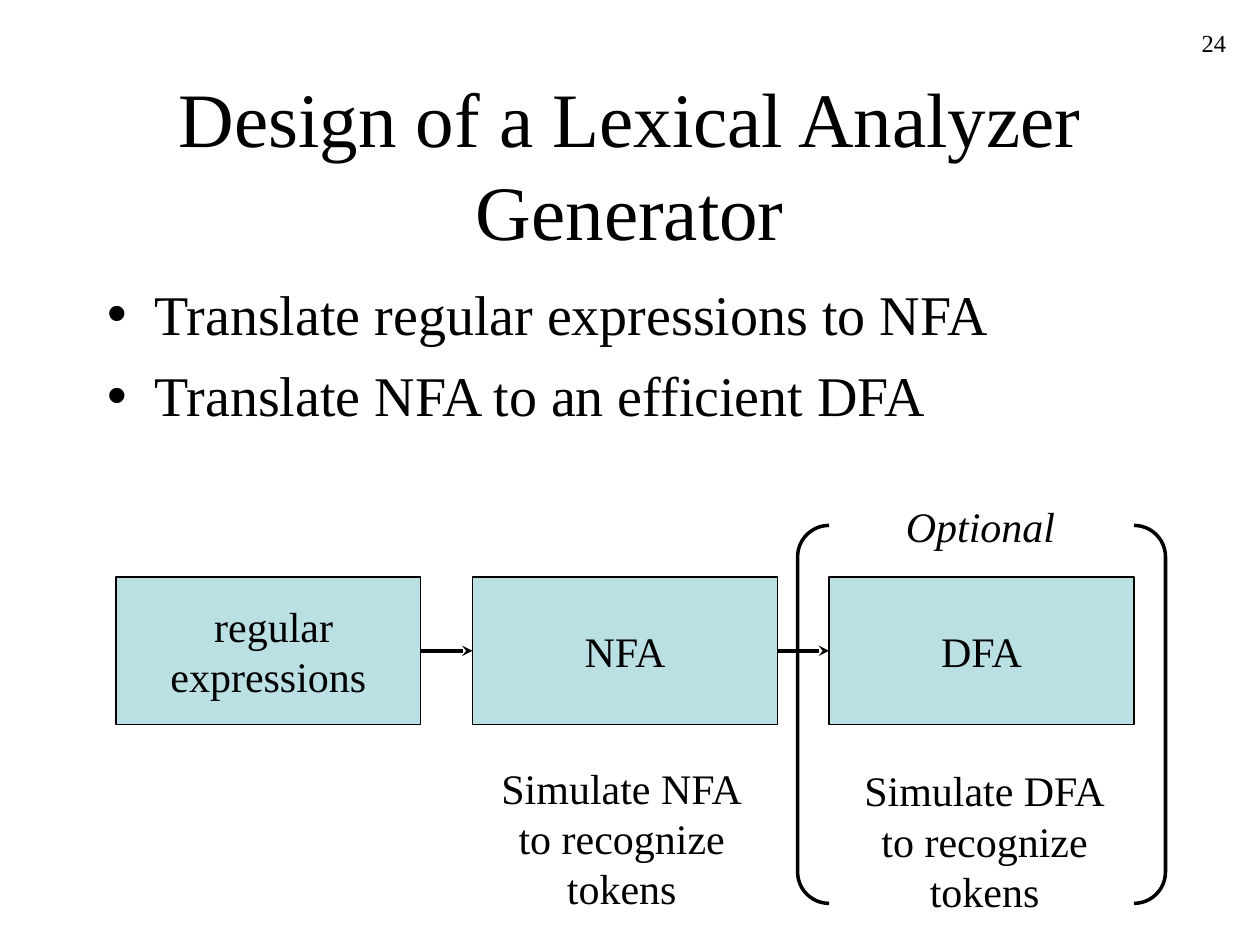
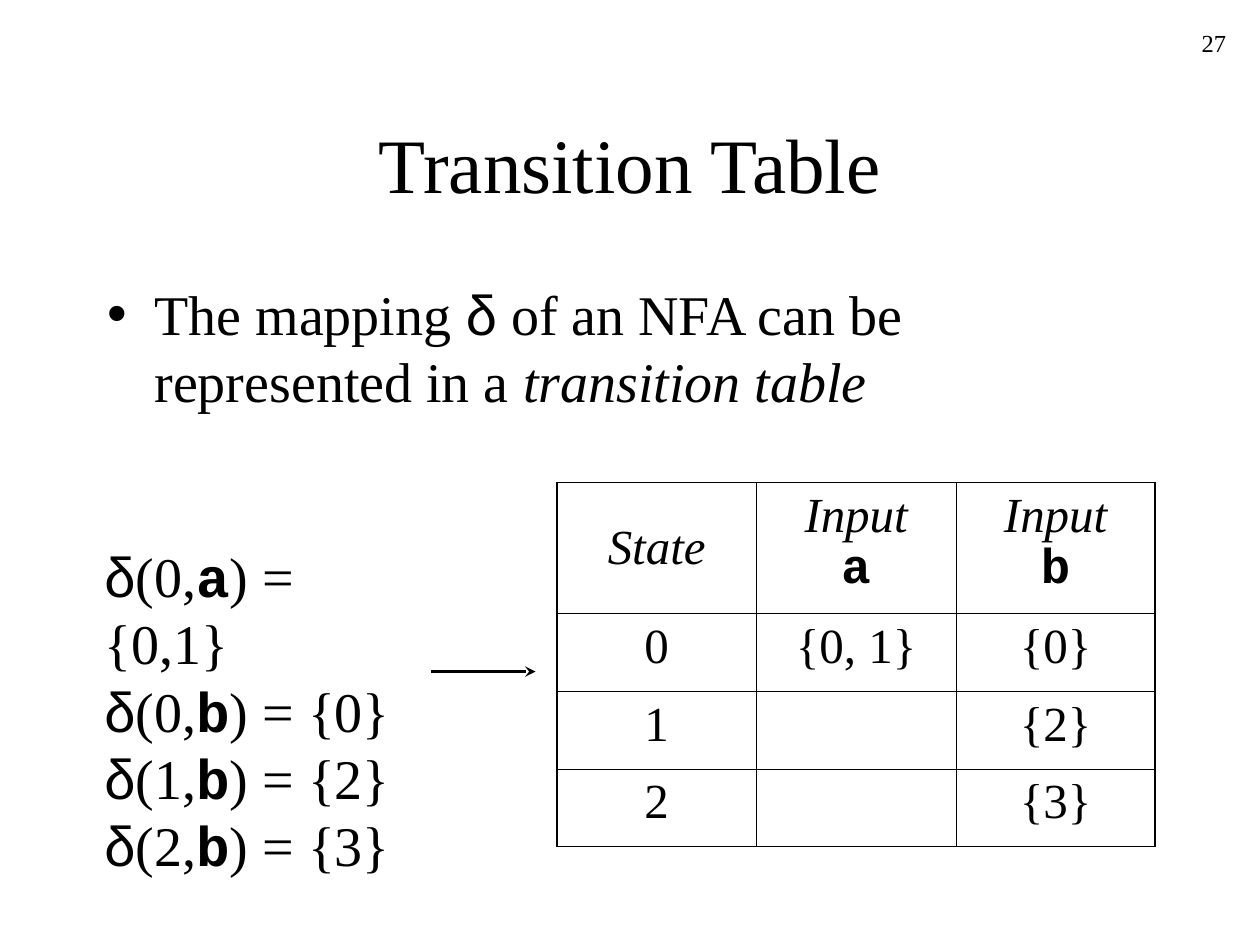
from lxml import etree
from pptx import Presentation
from pptx.dml.color import RGBColor
from pptx.enum.shapes import MSO_CONNECTOR as Connector, MSO_SHAPE as Shape
from pptx.enum.text import MSO_ANCHOR as Anchor, MSO_AUTO_SIZE as AutoSize, PP_ALIGN as Align
from pptx.oxml.ns import qn
from pptx.util import Inches, Pt

INK, BOX_FILL = "000000", "BBE0E3"
SERIF, SANS, MONO = "Times New Roman", "Arial", "Courier New"
TITLE_BOX = (0.75, 0.67, 8.5, 1.25)
BODY_BOX = (0.75, 2.17, 8.5, 4.5)
NUMBER_BOX = (7.75, 0.17, 2.08, 0.5)
THIN, THICK = 0.45, 1.08
TOP, LEFT, BOTTOM, RIGHT = range(4)

ITALIC = {"italic": True}
DELTA = ("δ", {"font": SANS})


def color(hex_text):
    return RGBColor.from_string(hex_text)


def code(text):
    return text, {"font": MONO, "bold": True}


def place(shape, box):
    shape.left, shape.top, shape.width, shape.height = map(Inches, box)


def write(frame, paragraphs, size=24, align=Align.LEFT, before=0,
          anchor=Anchor.TOP, wrap=True):
    """Fill a frame; a paragraph is a string or a list of strings and (text, style) spans."""
    frame.auto_size = AutoSize.NONE
    frame.word_wrap = wrap
    frame.vertical_anchor = anchor
    for index, spans in enumerate(paragraphs):
        para = frame.add_paragraph() if index else frame.paragraphs[0]
        para.alignment = align
        para.space_before = Pt(before)
        for span in [spans] if isinstance(spans, str) else spans:
            text, style = (span, {}) if isinstance(span, str) else span
            for line_index, line in enumerate(text.split("\n")):
                if line_index:
                    para.add_line_break()
                if line:
                    add_run(para, line, size, **style)


def add_run(para, text, size, font=SERIF, bold=False, italic=False):
    run = para.add_run()
    run.text = text
    run.font.name, run.font.size = font, Pt(size)
    run.font.bold, run.font.italic = bold, italic
    run.font.color.rgb = color(INK)


def add_label(page, box, paragraphs, **style):
    label = page.shapes.add_textbox(*map(Inches, box))
    write(label.text_frame, paragraphs, **style)


def add_outline(page, kind, box, width, fill=None):
    shape = page.shapes.add_shape(kind, *map(Inches, box))
    shape.shadow.inherit = False
    shape.line.color.rgb = color(INK)
    shape.line.width = Pt(width)
    if fill:
        shape.fill.solid()
        shape.fill.fore_color.rgb = color(fill)
    else:
        shape.fill.background()
    return shape


def add_arrow(page, left, right, y):
    arrow = page.shapes.add_connector(
        Connector.STRAIGHT, *map(Inches, (left, y, right, y)))
    arrow.line.color.rgb = color(INK)
    arrow.line.width = Pt(2)
    etree.SubElement(arrow.line._get_or_add_ln(), qn("a:tailEnd"), type="stealth")
    etree.SubElement(arrow._element.spPr, qn("a:effectLst"))
    return arrow


def add_page(deck, number, title, bullets):
    page = deck.slides.add_slide(deck.slide_layouts[1])
    heading, body = page.placeholders
    place(heading, TITLE_BOX)
    write(heading.text_frame, [title], size=44, align=Align.CENTER, anchor=Anchor.MIDDLE)
    place(body, BODY_BOX)
    write(body.text_frame, bullets, size=32, before=8)
    add_label(page, NUMBER_BOX, [number], size=14, align=Align.RIGHT)
    return page


def add_stages(page, box, names, gap):
    """Row of equal boxes, each joined to the next by an arrow."""
    left, top, width, height = box
    stage_width = (width - gap * (len(names) - 1)) / len(names)
    previous = None
    for index, name in enumerate(names):
        x = left + index * (stage_width + gap)
        stage = add_outline(page, Shape.RECTANGLE, (x, top, stage_width, height),
                            0.75, BOX_FILL)
        write(stage.text_frame, [name], align=Align.CENTER,
              anchor=Anchor.MIDDLE, wrap=False)
        if previous is not None:
            arrow = add_arrow(page, x - gap, x, top + height / 2)
            arrow.begin_connect(previous, RIGHT)
            arrow.end_connect(stage, LEFT)
        previous = stage


def add_optional_part(page, box):
    """Pair of tall round brackets with the word Optional at the top."""
    left, top, width, height = box
    depth = 0.25
    for kind, x in ((Shape.LEFT_BRACKET, left),
                    (Shape.RIGHT_BRACKET, left + width - depth)):
        bracket = add_outline(page, kind, (x, top, depth, height), 2)
        bracket.adjustments[0] = 1.0
    add_label(page, (left + 0.76, top - depth, 1.38, 0.5),
              [[("Optional", ITALIC)]], wrap=False)


def set_borders(cell, widths):
    properties = cell._tc.get_or_add_tcPr()
    for side in "LRTB":
        line = etree.SubElement(properties, qn(f"a:ln{side}"), w=str(Pt(widths[side])))
        fill = etree.SubElement(line, qn("a:solidFill"))
        etree.SubElement(fill, qn("a:srgbClr"), val=INK)


def add_transition_table(page, box, rows, header_height):
    left, top, width, height = box
    last_row, last_column = len(rows) - 1, len(rows[0]) - 1
    table = page.shapes.add_table(last_row + 1, last_column + 1,
                                  *map(Inches, box)).table
    table.first_row = table.horz_banding = False
    for column in table.columns:
        column.width = Inches(width / (last_column + 1))
    for r, row in enumerate(rows):
        table.rows[r].height = Inches(
            (height - header_height) / last_row if r else header_height)
        for c, spans in enumerate(row):
            cell = table.cell(r, c)
            outer = {"L": c == 0, "R": c == last_column, "T": r == 0, "B": r == last_row}
            set_borders(cell, {side: THICK if edge else THIN
                               for side, edge in outer.items()})
            cell.fill.background()
            if spans:
                write(cell.text_frame, [spans], size=28, align=Align.CENTER, before=7)
    table.cell(0, 0).vertical_anchor = Anchor.MIDDLE


def add_mapping(page, box, moves):
    spans = []
    for index, (state, symbol, targets) in enumerate(moves):
        end = "\n" if index < len(moves) - 1 else ""
        spans += [DELTA, f"({state},", code(symbol), f") = {{{targets}}}{end}"]
    add_label(page, box, [spans], size=32)


def build_generator_page(deck):
    page = add_page(deck, "24", "Design of a Lexical Analyzer Generator",
                    ["Translate regular expressions to NFA",
                     "Translate NFA to an efficient DFA"])
    add_stages(page, (0.92, 4.58, 8.08, 1.17),
               [" regular\nexpressions", "NFA", "DFA"], gap=0.41)
    for name, left, top in (("NFA", 3.87, 6), ("DFA", 6.75, 6.02)):
        add_label(page, (left, top, 2.13, 1.3),
                  [f"Simulate {name}\nto recognize\ntokens"],
                  align=Align.CENTER, wrap=False)
    add_optional_part(page, (6.33, 4.17, 2.92, 3))


def build_table_page(deck):
    page = add_page(deck, "27", "Transition Table",
                    [["The mapping ", DELTA, " of an NFA can be represented in a ",
                      ("transition table", ITALIC)]])
    header = [[("State", ITALIC)]] + [[("Input\n", ITALIC), code(s)] for s in "ab"]
    add_transition_table(page, (4.42, 3.83, 4.75, 2.89),
                         [header, ["0", "{0, 1}", "{0}"],
                          ["1", "", "{2}"], ["2", "", "{3}"]], header_height=1.04)
    add_mapping(page, (0.73, 4.25, 2.7, 2.24),
                [(0, "a", "0,1"), (0, "b", "0"), (1, "b", "2"), (2, "b", "3")])
    add_arrow(page, 3.42, 4.25, 5.33)


def main():
    deck = Presentation()
    deck.slide_width, deck.slide_height = Inches(10), Inches(7.5)
    build_generator_page(deck)
    build_table_page(deck)
    deck.save("out.pptx")


if __name__ == "__main__":
    main()
